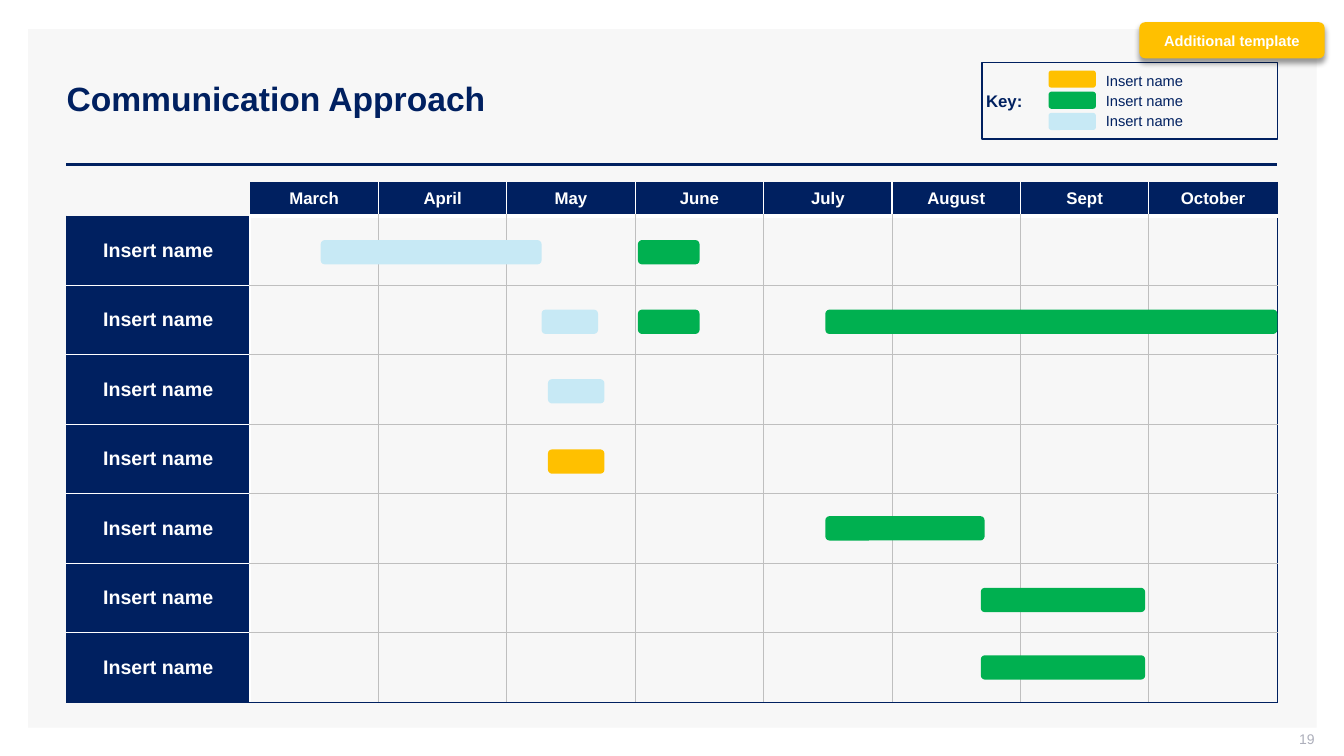
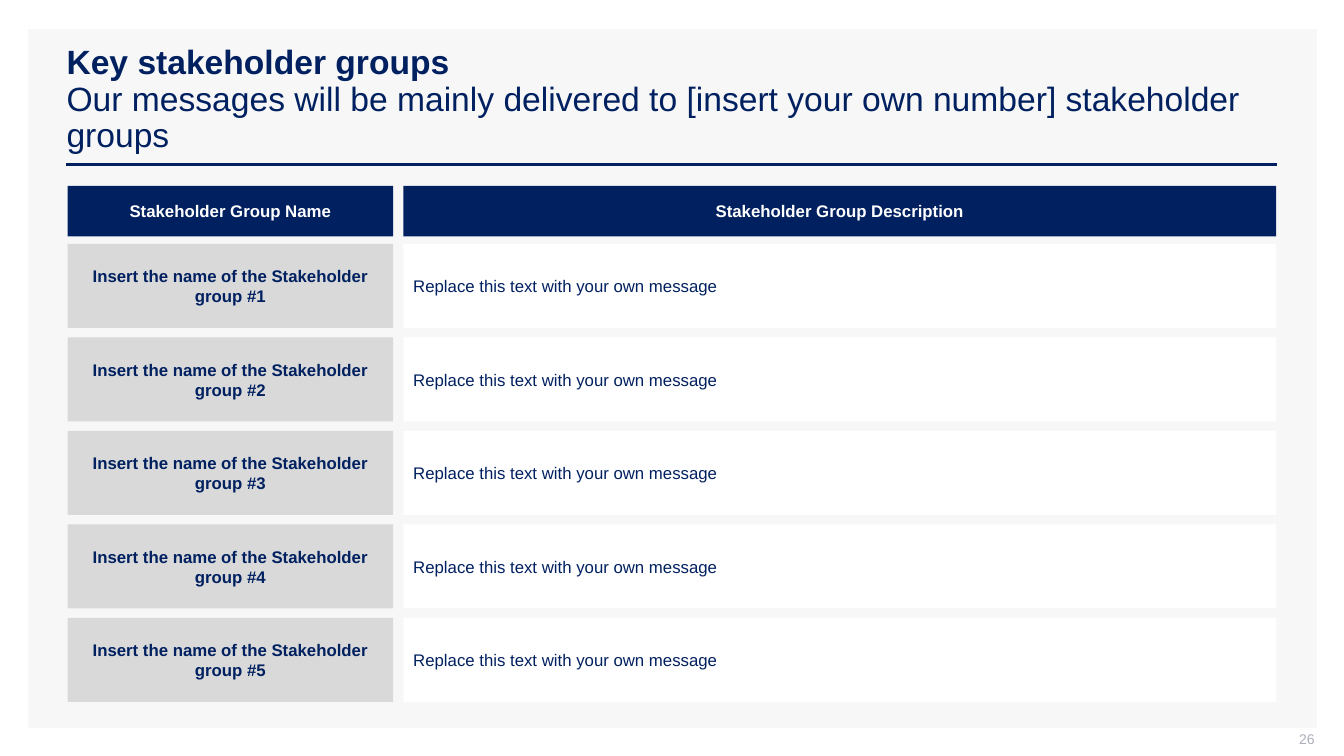
from dataclasses import dataclass

from lxml.etree import SubElement
from pptx import Presentation
from pptx.dml.color import RGBColor as RGB
from pptx.enum.shapes import MSO_CONNECTOR as Link, MSO_SHAPE as Form
from pptx.enum.text import MSO_ANCHOR as Anchor, MSO_AUTO_SIZE as Fit, PP_ALIGN as Align
from pptx.oxml.ns import qn
from pptx.util import Inches, Pt

WIDE, HIGH = 13.33, 7.5


@dataclass(frozen=True)
class Theme:
    font: str = "Arial"
    navy: str = "002060"
    white: str = "FFFFFF"
    panel: str = "F7F7F7"
    grid: str = "BFBFBF"
    grey: str = "D9D9D9"
    faint: str = "ADAFBB"
    gold: str = "FFC000"
    green: str = "00B050"
    sky: str = "C7E9F5"
    shade: str = "000000"
    title: float = 24
    label: float = 14
    body: float = 12
    small: float = 10.5
    foot: float = 10


@dataclass(frozen=True)
class Grid:
    left: float
    top: float
    col: float
    row: float

    def spot(self, x, y):
        return Inches(self.left + x * self.col), Inches(self.top + y * self.row)

    def area(self, x, y, w, h):
        return *self.spot(x, y), Inches(w * self.col), Inches(h * self.row)


LOOK = Theme()
PAGE = Grid(0, 0, WIDE / 100, HIGH / 100)
KEY = Grid(10.4, 0.7, 0.47, 0.21)
PLAN = Grid(2.48, 2.14, 10.19 / 8, 0.69)
LIST = Grid(0.67, 2.42, 3.33, 3.71 / 4)

MONTHS = ["March", "April", "May", "June", "July", "August", "Sept", "October"]
TEAMS = ["Insert name"] * 7
BARS = [
    (0.55, 0.35, 1.72, LOOK.sky),
    (2.27, 1.35, 0.44, LOOK.sky),
    (3.02, 0.35, 0.48, LOOK.green),
    (2.32, 2.35, 0.44, LOOK.sky),
    (4.48, 4.32, 1.24, LOOK.green),
    (5.69, 5.35, 1.28, LOOK.green),
    (2.32, 3.36, 0.44, LOOK.gold),
    (3.02, 1.35, 0.48, LOOK.green),
    (4.48, 1.35, 3.52, LOOK.green),
    (5.69, 6.32, 1.28, LOOK.green),
]


class Deck:
    def __init__(self):
        self.prs = Presentation()
        self.prs.slide_width = Inches(WIDE)
        self.prs.slide_height = Inches(HIGH)
        self.layout = self.prs.slide_layouts[5]
        self.slide = None

    def start(self, title, number):
        first = self.slide is None
        self.slide = self.prs.slides.add_slide(self.layout)
        if first:
            self.frame()
        head = self.slide.shapes.title
        head.left, head.top, head.width, head.height = PAGE.area(4.2, 5.33, 90.85, 15.87)
        self.fill_in(head.text_frame, title, LOOK.title, LOOK.navy, True)
        head.text_frame.auto_size = Fit.NONE
        for para in head.text_frame.paragraphs:
            para.line_spacing = 0.9
        for para in head.text_frame.paragraphs[1:]:
            for run in para.runs:
                run.font.bold = False
        foot = self.text(PAGE.area(75.32, 96.67, 22.5, 2.8), number, LOOK.foot, LOOK.faint,
                         align=Align.RIGHT)
        foot.margin_top = foot.margin_right = 0

    def frame(self):
        panel = self.box(PAGE.area(2.1, 3.87, 95.87, 92.4), LOOK.panel)
        rule = self.line(PAGE.spot(4.95, 21.73), PAGE.spot(95.05, 21.73), LOOK.navy, 2)
        base = self.layout.placeholders[0].element
        for mark, shape in enumerate((panel, rule), 90):
            shape.element.xpath(".//p:cNvPr")[0].set("id", str(mark))
            base.addprevious(shape.element)

    def fill_in(self, frame, text, size, color, bold=False, align=Align.LEFT,
                anchor=Anchor.MIDDLE):
        frame.word_wrap = True
        frame.vertical_anchor = anchor
        frame.text = text
        for para in frame.paragraphs:
            para.alignment = align
            for run in para.runs:
                font = run.font
                font.name, font.size, font.bold = LOOK.font, Pt(size), bold
                font.color.rgb = RGB.from_string(color)

    def text(self, area, text, size, color, **style):
        frame = self.slide.shapes.add_textbox(*area).text_frame
        self.fill_in(frame, text, size, color, **style)
        return frame

    def box(self, area, fill=None, edge=None, form=Form.RECTANGLE):
        shape = self.slide.shapes.add_shape(form, *area)
        shape.shadow.inherit = False
        if fill:
            shape.fill.solid()
            shape.fill.fore_color.rgb = RGB.from_string(fill)
        else:
            shape.fill.background()
        if edge:
            shape.line.color.rgb = RGB.from_string(edge)
            shape.line.width = Pt(1)
        else:
            shape.line.fill.background()
        return shape

    def bar(self, area, fill):
        return self.box(area, fill, form=Form.ROUNDED_RECTANGLE)

    def line(self, start, end, color, width):
        line = self.slide.shapes.add_connector(Link.STRAIGHT, *start, *end)
        line.line.color.rgb = RGB.from_string(color)
        line.line.width = Pt(width)
        SubElement(line.element.spPr, qn("a:effectLst"))
        return line

    def panel(self, area, fill, text, color, bold=True, align=Align.CENTER):
        shape = self.box(area, fill)
        self.fill_in(shape.text_frame, text, LOOK.body, color, bold, align)

    def tag(self, area, text):
        shape = self.bar(area, LOOK.gold)
        self.fill_in(shape.text_frame, text, LOOK.small, LOOK.white, True, Align.CENTER)
        glow = SubElement(shape.element.spPr.find(qn("a:effectLst")), qn("a:outerShdw"),
                          blurRad=str(Pt(4)), dist=str(Pt(3)), dir="5400000",
                          algn="t", rotWithShape="0")
        tint = SubElement(glow, qn("a:srgbClr"), val=LOOK.shade)
        SubElement(tint, qn("a:alpha"), val="40000")

    def key(self, area, names):
        shape = self.box(area, edge=LOOK.navy)
        self.fill_in(shape.text_frame, "Key:", LOOK.body, LOOK.navy, True)
        shape.text_frame.margin_left = Inches(0.04)
        for row, (name, color) in enumerate(names):
            self.bar(KEY.area(0, row, 1, 0.81), color)
            self.text(KEY.area(1, row * 0.95 - 0.19, 3.02, 1.33), name, LOOK.small,
                      LOOK.navy, anchor=Anchor.TOP)

    def edge(self, cell, side, color, width):
        props = cell._tc.get_or_add_tcPr()
        line = SubElement(props, qn("a:" + side), w=str(Pt(width)))
        if color:
            fill = SubElement(line, qn("a:solidFill"))
            SubElement(fill, qn("a:srgbClr"), val=color)
        else:
            SubElement(line, qn("a:noFill"))

    def rule(self, step, last, head, thick):
        if head and step < 2:
            return None, 1
        if step in (0, last):
            return LOOK.navy, 0.75
        if step == 1:
            return LOOK.white, thick
        return (LOOK.white, 1) if head else (LOOK.grid, 0.75)

    def table(self, months, teams):
        rows, cols = len(teams) + 1, len(months) + 1
        side, head = 1.82, 0.33
        table = self.slide.shapes.add_table(
            rows, cols, Inches(PLAN.left - side), Inches(PLAN.top - head),
            Inches(side + PLAN.col * len(months)),
            Inches(head + PLAN.row * len(teams))).table
        table.first_row = table.horz_banding = False
        for c, col in enumerate(table.columns):
            col.width = Inches(PLAN.col if c else side)
        for r, row in enumerate(table.rows):
            row.height = Inches(PLAN.row if r else head)
            for c, cell in enumerate(row.cells):
                self.edge(cell, "lnL", *self.rule(c, cols, r == 0, 1))
                self.edge(cell, "lnR", *self.rule(c + 1, cols, r == 0, 1))
                self.edge(cell, "lnT", *self.rule(r, rows, c == 0, 3))
                self.edge(cell, "lnB", *self.rule(r + 1, rows, c == 0, 3))
                cell.margin_left = cell.margin_right = Inches(0.07)
                cell.margin_top = cell.margin_bottom = 0
                cell.vertical_anchor = Anchor.MIDDLE
                if (r == 0) == (c == 0):
                    cell.fill.background()
                    continue
                cell.fill.solid()
                cell.fill.fore_color.rgb = RGB.from_string(LOOK.navy)
                name, size = (teams[r - 1], LOOK.label) if r else (months[c - 1], LOOK.body)
                self.fill_in(cell.text_frame, name, size, LOOK.white, True, Align.CENTER)
                cell.vertical_anchor = Anchor.MIDDLE


def plan(deck):
    deck.start("Communication Approach", "19")
    deck.key(PAGE.area(73.07, 8.27, 21.98, 10.13),
             [("Insert name", tone) for tone in (LOOK.gold, LOOK.green, LOOK.sky)])
    deck.table(MONTHS, TEAMS)
    for x, y, span, color in BARS:
        deck.bar(PLAN.area(x, y, span, 0.35), color)
    deck.tag(PAGE.area(84.77, 2.93, 13.8, 4.8), "Additional template")


def groups(deck):
    deck.start("Key stakeholder groups\nOur messages will be mainly delivered to "
               "[insert your own number] stakeholder groups", "26")
    name, note = (0, 0.97), (1, 2.6)
    for (x, wide), text in ((name, "Stakeholder Group Name"),
                            (note, "Stakeholder Group Description")):
        deck.panel(LIST.area(x, -0.62, wide, 0.54), LOOK.navy, text, LOOK.white)
    for row in range(5):
        deck.panel(LIST.area(name[0], row, name[1], 0.9), LOOK.grey,
                   f"Insert the name of the Stakeholder group #{row + 1}", LOOK.navy)
        deck.panel(LIST.area(note[0], row, note[1], 0.9), LOOK.white,
                   "Replace this text with your own message", LOOK.navy, False, Align.LEFT)


def main():
    deck = Deck()
    plan(deck)
    groups(deck)
    deck.prs.save("out.pptx")


if __name__ == "__main__":
    main()
